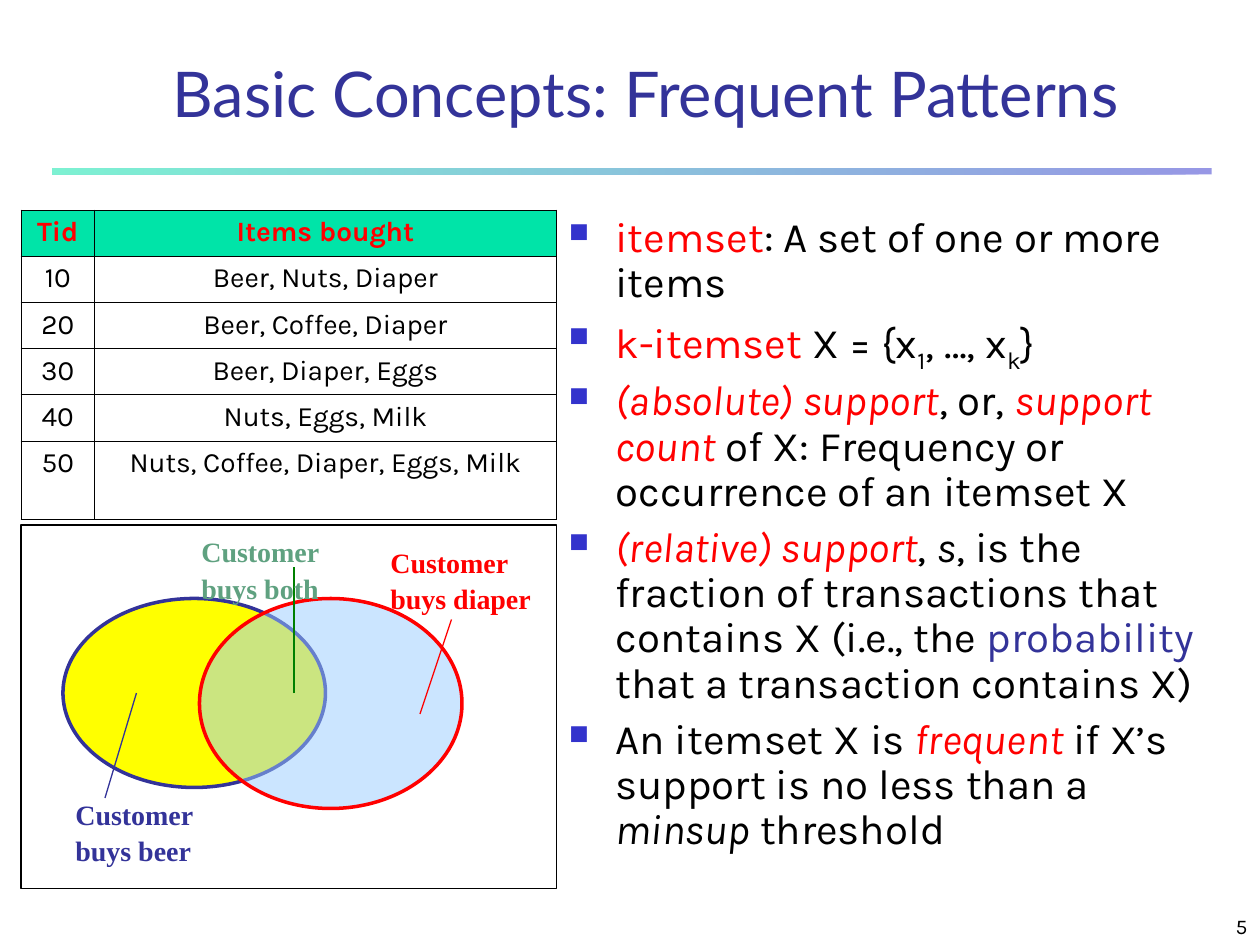
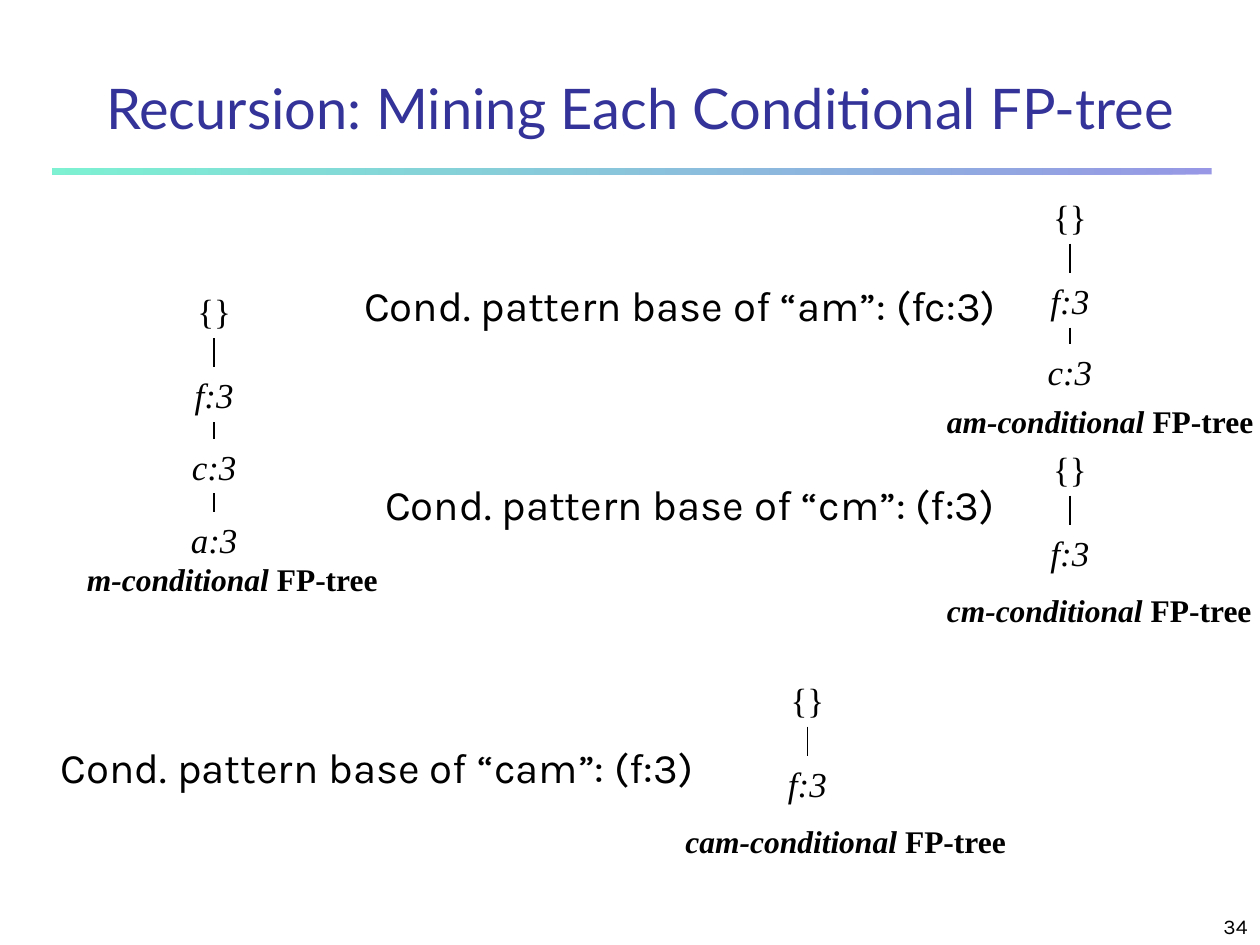
from lxml.etree import SubElement
from pptx import Presentation
from pptx.dml.color import RGBColor
from pptx.enum.shapes import MSO_CONNECTOR, MSO_SHAPE
from pptx.enum.text import MSO_ANCHOR, PP_ALIGN
from pptx.oxml import parse_xml
from pptx.oxml.ns import nsdecls, qn
from pptx.util import Inches, Pt

BLACK, RED, NAVY = "000000", "FF0000", "333399"
BLUE, MINT, GREEN = "3333CC", "00E4A8", "008000"
SANS, HEAD, SERIF = "Karla", "Lato", "Times New Roman"
LEFT, MID, RIGHT = PP_ALIGN.LEFT, PP_ALIGN.CENTER, PP_ALIGN.RIGHT


def unit(count):
    """Length of grid columns or rows; the slide has 120 by 90."""
    return Inches(count / 12)


def tint(code):
    return RGBColor.from_string(code)


def fade(fill, share):
    """Set the opacity, in percent, of every colour in a fill."""
    for node in fill.iter(qn("a:srgbClr")):
        SubElement(node, qn("a:alpha")).set("val", str(share * 1000))


def style(run, size, font, color, bold=False, slant=False, base=0):
    run.font.size = Pt(size)
    run.font.name = font
    run.font.bold = bold
    run.font.italic = slant
    run.font.color.rgb = tint(color)
    if base:
        run.font._element.set("baseline", str(base * 1000))


def mark(para):
    """Give a paragraph a square bullet and a hanging indent."""
    props = para._p.get_or_add_pPr()
    props.set("marL", str(Inches(0.37)))
    props.set("indent", str(-Inches(0.37)))
    color = SubElement(props, qn("a:buClr"))
    SubElement(color, qn("a:srgbClr")).set("val", BLUE)
    SubElement(props, qn("a:buSzPct")).set("val", "65000")
    SubElement(props, qn("a:buChar")).set("char", "■")


def write(frame, paras, align=LEFT, space=1.0, before=0, bullet=False,
          size=24, font=SANS, color=BLACK, **look):
    """Fill a frame; a paragraph is a string or a list of (text, format)."""
    base = dict(size=size, font=font, color=color, **look)
    for at, runs in enumerate(paras):
        para = frame.add_paragraph() if at else frame.paragraphs[0]
        para.alignment = align
        para.line_spacing = space
        para.space_before = Pt(before)
        if bullet:
            mark(para)
        for text, extra in [(runs, {})] if isinstance(runs, str) else runs:
            run = para.add_run()
            run.text = text
            style(run, **{**base, **extra})


class Deck:
    def __init__(self):
        self.file = Presentation()
        self.file.slide_width = unit(120)
        self.file.slide_height = unit(90)

    def page(self, title, number, box, size):
        """Start a slide with its band, number and title."""
        layout = self.file.slide_layouts[6]
        self.shapes = self.file.slides.add_slide(layout).shapes
        self.band()
        self.text((95, 85, 25, 5), [str(number)], size=12, align=RIGHT,
                  anchor=MSO_ANCHOR.BOTTOM)
        self.text(box, [title], size=size, font=HEAD, color=NAVY, align=MID,
                  anchor=MSO_ANCHOR.BOTTOM)

    def shape(self, kind, box, fill=None, line=None, width=0.75):
        item = self.shapes.add_shape(kind, *map(unit, box))
        item.shadow.inherit = False
        if fill:
            item.fill.solid()
            item.fill.fore_color.rgb = tint(fill)
        else:
            item.fill.background()
        if line:
            item.line.color.rgb = tint(line)
            item.line.width = Pt(width)
        else:
            item.line.fill.background()
        return item

    def band(self):
        item = self.shape(MSO_SHAPE.RECTANGLE, (5, 16, 110.4, 0.6))
        item.fill.gradient()
        item.fill.gradient_angle = 180
        for stop, color in zip(item.fill.gradient_stops, (BLUE, MINT)):
            stop.color.rgb = tint(color)
        fade(item._element.spPr, 51)

    def text(self, box, paras, wrap=True, anchor=MSO_ANCHOR.TOP, **form):
        item = self.shapes.add_textbox(*map(unit, box))
        item.text_frame.word_wrap = wrap
        item.text_frame.vertical_anchor = anchor
        write(item.text_frame, paras, **form)
        return item

    def line(self, start, end, color=BLACK, width=0.75):
        item = self.shapes.add_connector(
            MSO_CONNECTOR.STRAIGHT, *map(unit, start + end))
        item.line.color.rgb = tint(color)
        item.line.width = Pt(width)
        SubElement(item._element.spPr, qn("a:effectLst"))
        return item

    def link(self, top, low):
        """Join the bottom of one box to the top of the next."""
        item = self.line((0, 0), (0, 0), width=1)
        item.begin_connect(top, 2)
        item.end_connect(low, 0)

    def table(self, spot, wide, high, rows):
        size = (sum(wide), sum(high))
        grid = self.shapes.add_table(
            len(rows), len(wide), *map(unit, spot + size)).table
        grid.first_row = grid.horz_banding = False
        for col, width in zip(grid.columns, wide):
            col.width = unit(width)
        for at, (row, height) in enumerate(zip(grid.rows, high)):
            row.height = unit(height)
            for cell, text in zip(row.cells, rows[at]):
                self.cell(cell, text, top=at == 0)

    def cell(self, cell, text, top):
        if top:
            cell.fill.solid()
            cell.fill.fore_color.rgb = tint(MINT)
        else:
            cell.fill.background()
        for at, side in enumerate("LRTB"):
            cell._tc.get_or_add_tcPr().insert(at, parse_xml(
                f'<a:ln{side} {nsdecls("a")} w="6350"><a:solidFill>'
                f'<a:srgbClr val="{BLACK}"/></a:solidFill></a:ln{side}>'))
        write(cell.text_frame, [text], size=16, align=MID, space=0.97,
              before=4, bold=top, color=RED if top else BLACK)

    def tree(self, mid, top, nodes, name, left, wide):
        """Stack linked nodes around a column, with a caption below."""
        last = None
        for node, drop in zip(["{}"] + nodes, (0, 8, 14.8, 21.8)):
            item = self.text((mid - 3.5, top + drop, 7, 5.2), [node],
                             wrap=False, size=20, font=SERIF, align=MID,
                             slant=last is not None)
            if last:
                self.link(last, item)
            last = item
        drop = 7.7 + 6 * len(nodes)
        caption = [(f"{name}-conditional ", {"slant": True}), ("FP-tree", {})]
        self.text((left, top + drop, wide, 4.8), [caption], wrap=False,
                  size=18, font=SERIF, bold=True)


def basics(deck):
    deck.page("Basic Concepts: Frequent Patterns", 5, (9, 3, 105, 10), 36)
    red, slant = {"color": RED}, {"slant": True}
    term = {**red, **slant}
    sub = {"base": -25}
    deck.text((53, 20, 65, 65), [
        [("itemset", red), (": A set of one or more items", {})],
        [("k-itemset", red), (" X = {x", {}), ("1", sub), (", …, x", {}),
         ("k", sub), ("}", {})],
        [("(absolute) support", term), (", or, ", {}),
         ("support count", term),
         (" of X: Frequency or occurrence of an itemset X", {})],
        [("(relative) support", term), (", ", {}), ("s", slant),
         (", is the fraction of transactions that contains X (i.e., the ",
          {}),
         ("probability", {"color": NAVY}),
         (" that a transaction contains X)", {})],
        [("An itemset X is ", {}), ("frequent", term),
         (" if X’s support is no less than a ", {}), ("minsup", slant),
         (" threshold", {})],
    ], bullet=True, space=0.9, before=6)

    oval = MSO_SHAPE.OVAL
    deck.shape(oval, (6, 57, 25, 18), "FFFF00", NAVY, 2)
    diaper = deck.shape(oval, (19, 57, 25, 20), "99CCFF", RED, 2)
    fade(diaper._element.spPr.find(qn("a:solidFill")), 50)
    for start, end, color in (((13, 66), (10, 76), NAVY),
                              ((40, 68), (43, 59), RED),
                              ((28, 66), (28, 54), GREEN)):
        deck.line(start, end, color)
    for left, top, what, color in ((36, 51, "diaper", RED),
                                   (18, 50, "both", "5FA180"),
                                   (6, 75, "beer", NAVY)):
        deck.text((left, top, 16, 8.3), ["Customer", f"buys {what}"],
                  size=16, font=SERIF, color=color, bold=True, space=1.1)
    deck.shape(MSO_SHAPE.RECTANGLE, (2, 50, 51, 34.6), line=BLACK)

    deck.table((2, 20), (7, 44), [4.4] * 5 + [7.5], [
        ("Tid", "Items bought"),
        ("10", "Beer, Nuts, Diaper"),
        ("20", "Beer, Coffee, Diaper"),
        ("30", "Beer, Diaper, Eggs"),
        ("40", "Nuts, Eggs, Milk"),
        ("50", "Nuts, Coffee, Diaper, Eggs, Milk"),
    ])


def mining(deck):
    deck.page("Recursion: Mining Each Conditional FP-tree", 34,
              (5, 5, 112, 9), 32)
    for left, top, wide, name, items in ((33.5, 26, 64.2, "am", "fc"),
                                         (35.5, 45, 62, "cm", "f"),
                                         (4.6, 70, 64.2, "cam", "f")):
        deck.text((left, top, wide, 6),
                  [f"Cond. pattern base of “{name}”: ({items}:3)"],
                  wrap=False)
    deck.tree(20.4, 27, ["f:3", "c:3", "a:3"], "m", 7.1, 30.1)
    deck.tree(101.9, 18, ["f:3", "c:3"], "am", 89, 31.6)
    deck.tree(101.9, 42, ["f:3"], "cm", 89, 31.4)
    deck.tree(76.9, 64, ["f:3"], "cam", 64.1, 33)


def main():
    deck = Deck()
    basics(deck)
    mining(deck)
    deck.file.save("out.pptx")


if __name__ == "__main__":
    main()
